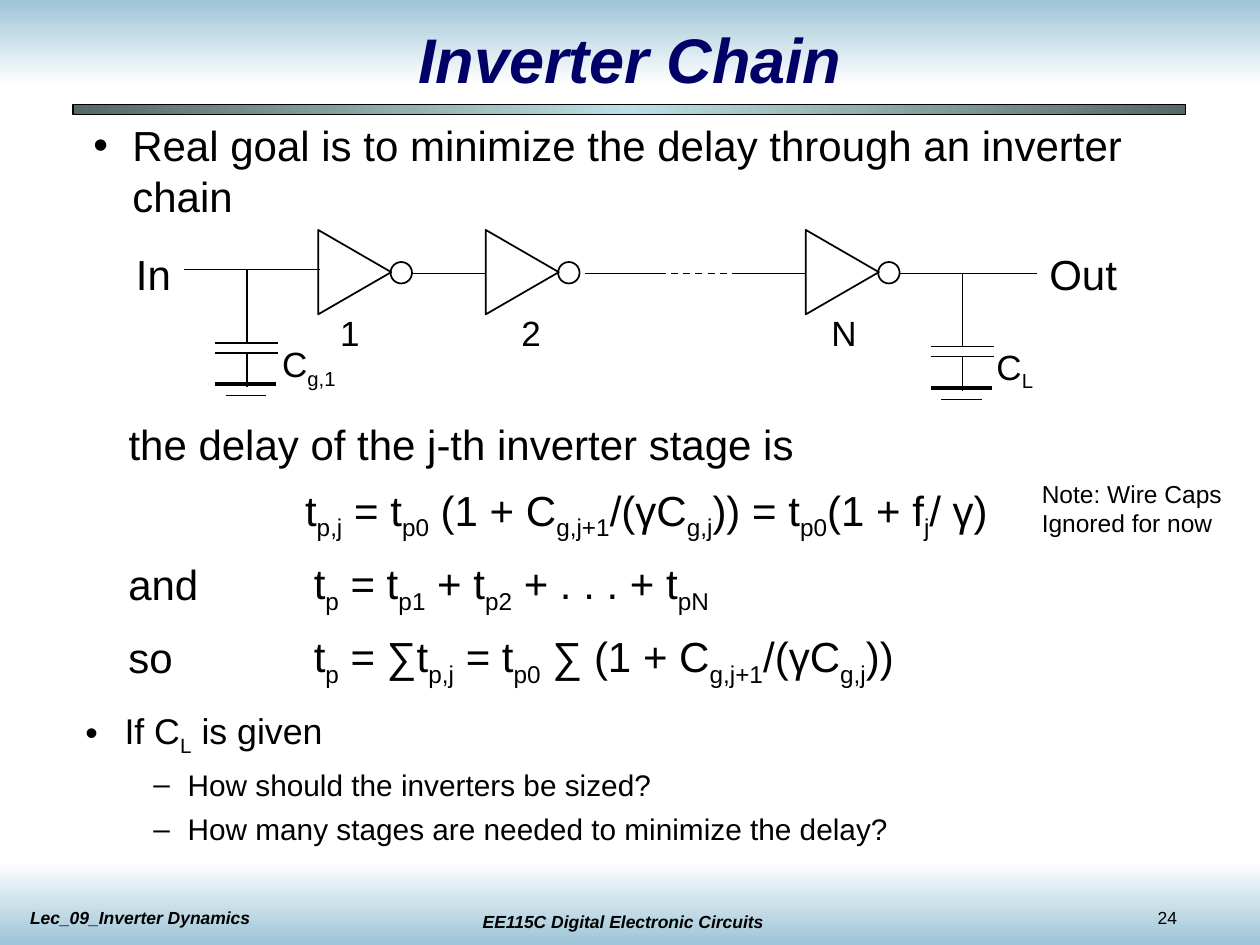
from pptx import Presentation
from pptx.dml.color import RGBColor
from pptx.enum.dml import MSO_LINE
from pptx.enum.shapes import MSO_CONNECTOR as Connector, MSO_SHAPE as Shape
from pptx.enum.text import MSO_ANCHOR as Anchor, PP_ALIGN as Align
from pptx.oxml.ns import qn
from pptx.util import Inches, Pt
from copy import deepcopy
from lxml.etree import SubElement

BLACK = RGBColor(0x00, 0x00, 0x00)
WHITE = RGBColor(0xFF, 0xFF, 0xFF)
NAVY = RGBColor(0x00, 0x00, 0x66)
SKY = RGBColor(0x9D, 0xC4, 0xD7)
SLATE = RGBColor(0x56, 0x67, 0x68)
AQUA = RGBColor(0xBB, 0xE0, 0xE3)


class SlideBuilder:
    font_name = "Arial"
    line_width = 1

    def __init__(self, page):
        self.page = page

    def gradient_bar(self, left, top, width, height, colors, angle, outline=None):
        bar = self.page.shapes.add_shape(
            Shape.RECTANGLE, Inches(left), Inches(top), Inches(width), Inches(height))
        bar.shadow.inherit = False
        bar.fill.gradient()
        bar.fill.gradient_angle = angle
        stop_list = bar.fill._fill._gradFill.find(qn("a:gsLst"))
        for _ in colors[2:]:
            stop_list.append(deepcopy(stop_list[-1]))
        for index, (stop, color) in enumerate(zip(bar.fill.gradient_stops, colors)):
            stop.position = index / (len(colors) - 1)
            stop.color.rgb = color
        if outline:
            bar.line.color.rgb = BLACK
            bar.line.width = Pt(outline)
        else:
            bar.line.fill.background()

    def text(self, left, top, width, height, lines, wrap=True, anchor=Anchor.TOP,
             insets=(0.1, 0.05), **style):
        box = self.page.shapes.add_textbox(
            Inches(left), Inches(top), Inches(width), Inches(height))
        frame = box.text_frame
        side, edge = (Inches(inset) for inset in insets)
        layout = {"word_wrap": wrap, "vertical_anchor": anchor, "margin_left": side,
                  "margin_right": side, "margin_top": edge, "margin_bottom": edge}
        for name, value in layout.items():
            setattr(frame, name, value)
        for index, line in enumerate(lines):
            para = frame.paragraphs[0] if index == 0 else frame.add_paragraph()
            content, options = line if isinstance(line, tuple) else (line, {})
            self.paragraph(para, content, **{**style, **options})

    def paragraph(self, para, content, size, color=BLACK, bold=False, italic=False,
                  align=Align.LEFT, before=0, margin=0, hanging=0, bullet=None):
        props = para._p.get_or_add_pPr()
        props.set("marL", str(Inches(margin)))
        props.set("indent", str(-Inches(hanging)))
        if bullet:
            SubElement(props, qn("a:buFont")).set("typeface", self.font_name)
            SubElement(props, qn("a:buChar")).set("char", bullet)
        para.alignment = align
        para.space_before = Pt(before)
        font_values = {"name": self.font_name, "size": Pt(size), "bold": bold, "italic": italic}
        for index, piece in enumerate(content.split("|")):
            if not piece:
                continue
            span = para.add_run()
            span.text = piece
            for name, value in font_values.items():
                setattr(span.font, name, value)
            span.font.color.rgb = color
            if index % 2:
                span._r.get_or_add_rPr().set("baseline", "-25000")

    def line(self, x1, y1, x2, y2, width=line_width, dash=None):
        wire = self.page.shapes.add_connector(
            Connector.STRAIGHT, Inches(x1), Inches(y1), Inches(x2), Inches(y2))
        wire.line.color.rgb = BLACK
        wire.line.width = Pt(width)
        if dash:
            wire.line.dash_style = dash
        SubElement(wire._element.spPr, qn("a:effectLst"))

    def outline(self, kind, left, top, width, height, rotation=0):
        shape = self.page.shapes.add_shape(
            kind, Inches(left), Inches(top), Inches(width), Inches(height))
        shape.shadow.inherit = False
        shape.fill.background()
        shape.line.color.rgb = BLACK
        shape.line.width = Pt(self.line_width)
        shape.rotation = rotation

    def inverter(self, left):
        self.outline(Shape.ISOSCELES_TRIANGLE, left, 1.87, 0.67, 0.58, 90)
        self.outline(Shape.OVAL, left + 0.62, 2.08, 0.17, 0.17)

    def capacitor(self, x, top):
        plate = top + 0.58
        self.line(x, top, x, plate)
        for y in (plate, plate + 0.08):
            self.line(x - 0.25, y, x + 0.25, y)
        self.line(x, plate + 0.08, x, plate + 0.35)
        self.line(x - 0.25, plate + 0.33, x + 0.23, plate + 0.33, 2.25)
        self.line(x - 0.17, plate + 0.42, x + 0.15, plate + 0.42)


def main():
    deck = Presentation()
    deck.slide_width, deck.slide_height = Inches(10), Inches(7.5)
    slide = SlideBuilder(deck.slides.add_slide(deck.slide_layouts[6]))

    slide.gradient_bar(0, 0, 10, 0.67, (SKY, WHITE), 270)
    slide.gradient_bar(0, 6.83, 10, 0.67, (WHITE, SKY), 270)
    slide.gradient_bar(0.58, 0.83, 8.83, 0.08, (SLATE, AQUA, SLATE), 0, 0.75)
    footer = {"size": 10, "bold": True, "italic": True}
    slide.text(3.53, 7.18, 2.83, 0.27, ["EE115C Digital Electronic Circuits"],
               align=Align.CENTER, **footer)
    slide.text(0.14, 7.15, 2.83, 0.27, ["Lec_09_Inverter Dynamics"], **footer)
    slide.text(9.09, 7.15, 0.83, 0.27, ["24"], size=10)
    slide.text(0.75, 0.17, 8.5, 0.58, ["Inverter Chain"], anchor=Anchor.MIDDLE, size=36,
               color=NAVY, bold=True, italic=True, align=Align.CENTER)

    goal = {"margin": 0.31, "hanging": 0.31, "bullet": "•"}
    equation = {"before": 9, "margin": 1.75}
    slide.text(0.67, 0.92, 8.92, 4.57, [
        ("Real goal is to minimize the delay through an inverter chain", goal),
        ("the delay of the j-th inverter stage is", {"before": 113, "margin": 0.28}),
        ("t|p,j| = t|p0| (1 + C|g,j+1|/(γC|g,j|)) = t|p0|(1 + f|j|/ γ)",
         {"before": 9, "align": Align.CENTER}),
        ("t|p| = t|p1| + t|p2| + . . . + t|pN|", equation),
        ("t|p| = ∑t|p,j| = t|p0| ∑ (1 + C|g,j+1|/(γC|g,j|))", equation),
    ], insets=(0.07, 0.03), size=24)
    for top, word in ((4.38, "and"), (4.96, "so")):
        slide.text(0.92, top, 1.2, 0.5, [word], size=24)

    question = {"size": 17, "before": 5, "margin": 0.81, "hanging": 0.27, "bullet": "–"}
    slide.text(0.58, 5.58, 8.92, 1.25, [
        ("If C|L| is given", goal),
        ("How should the inverters be sized?", question),
        ("How many stages are needed to minimize the delay?", question),
    ], size=20.4)

    for left in (2.48, 3.81, 6.35):
        slide.inverter(left)
    for start, end in ((3.27, 3.85), (4.64, 5.23), (5.81, 6.39), (7.14, 8.23)):
        slide.line(start, 2.17, end, 2.17)
    slide.line(5.23, 2.17, 5.81, 2.17, dash=MSO_LINE.DASH)
    slide.line(1.46, 2.14, 2.54, 2.14)
    slide.capacitor(1.96, 2.14)
    slide.capacitor(7.64, 2.17)

    slide.text(0.98, 1.92, 0.48, 0.5, ["In"], wrap=False, size=24)
    slide.text(8.23, 1.92, 0.94, 0.5, ["Out"], size=24)
    for left, top, width, label in (
            (2.6, 2.42, 0.35, "1"), (4.04, 2.42, 0.35, "2"), (6.5, 2.42, 0.4, "N"),
            (2.14, 2.67, 0.75, "C|g,1|"), (7.81, 2.69, 0.55, "C|L|")):
        slide.text(left, top, width, 0.46, [label], wrap=False, size=20)
    slide.text(8.17, 3.75, 1.63, 0.57, ["Note: Wire Caps", "Ignored for now"],
               wrap=False, size=14)

    deck.save("out.pptx")


if __name__ == "__main__":
    main()
